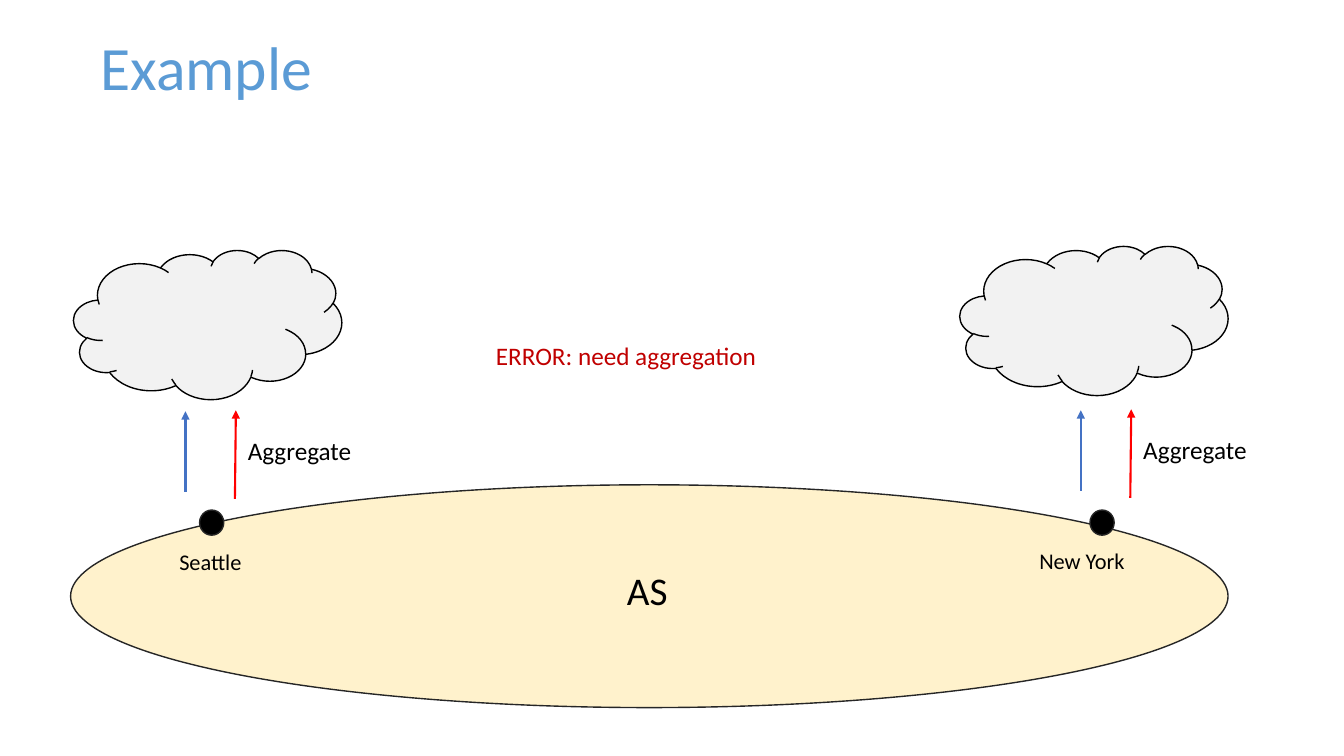
from lxml.etree import SubElement
from pptx import Presentation
from pptx.dml.color import RGBColor as Color
from pptx.enum.shapes import MSO_CONNECTOR as Connector, MSO_SHAPE as Shape
from pptx.enum.text import MSO_ANCHOR as Anchor, MSO_AUTO_SIZE as AutoSize
from pptx.oxml.ns import qn
from pptx.util import Inches, Pt

COLORS = {
    "title": "5B9BD5", "text": "000000", "error": "C00000",
    "network": "FFF2CC", "outline": "262626", "cloud": "F2F2F2",
    "router": "000000", "black": "000000", "red": "FF0000", "blue": "4472C4",
}

deck = Presentation()
deck.slide_width, deck.slide_height = Inches(13.33), Inches(7.5)
page = deck.slides.add_slide(deck.slide_layouts[6])

# All places are percentages of the slide's width and height
column = deck.slide_width / 100
row = deck.slide_height / 100


def add_filled(kind, left, top, width, height, fill, line):
    shape = page.shapes.add_shape(
        kind, int(left * column), int(top * row), int(width * column), int(height * row))
    shape.shadow.inherit = False
    shape.fill.solid()
    shape.fill.fore_color.rgb = Color.from_string(COLORS[fill])
    shape.line.color.rgb = Color.from_string(COLORS[line])
    shape.line.width = Pt(1)


def add_label(text, left, top, width, height, size, color="text", spacing=1.0, wrap=True):
    box = page.shapes.add_textbox(
        int(left * column), int(top * row), int(width * column), int(height * row))
    frame = box.text_frame
    frame.word_wrap = wrap
    frame.auto_size = AutoSize.NONE if wrap else AutoSize.SHAPE_TO_FIT_TEXT
    para = frame.paragraphs[0]
    para.line_spacing = spacing
    span = para.add_run()
    span.text = text
    span.font.name = "Calibri"
    span.font.size = Pt(size)
    span.font.color.rgb = Color.from_string(COLORS[color])
    return box


# Title
title = add_label("Example", 6.75, -0.27, 86.27, 19.33, 44, "title", 0.9)
title.text_frame.vertical_anchor = Anchor.MIDDLE

# Autonomous system
add_filled(Shape.OVAL, 5.25, 64.13, 86.12, 29.47, "network", "outline")
add_label("AS", 45.91, 75.47, 4.73, 6.8, 28, spacing=0.8)

# Each city: router, name, cloud and the announcements sent up to it
cities = [
    # name, name left, name top, name width, router left, cloud left, cloud top, arrow shift
    ("Seattle", 12.6, 72.53, 6.23, 14.85, 5.48, 33.07, (0, 0)),
    ("New York", 76.59, 72.4, 8.7, 81.1, 71.42, 32.53, (66.62, -0.13)),
]
arrows = [
    # color, start x, start y, end x, end y
    ("red", 17.48, 66, 17.55, 54.27),
    ("blue", 13.8, 65.07, 13.8, 54.4),
]
for name, name_left, name_top, name_width, router_left, cloud_left, cloud_top, shift in cities:
    add_filled(Shape.OVAL, router_left, 67.47, 1.8, 3.33, "router", "outline")
    add_label(name, name_left, name_top, name_width, 4.4, 16, spacing=0.8)
    add_filled(Shape.CLOUD, cloud_left, cloud_top, 19.95, 19.73, "cloud", "black")
    across, down = shift
    add_label("Aggregate", 17.7 + across, 56.93 + down, 9.3, 5.33, 18, wrap=False)
    for color, start_x, start_y, end_x, end_y in arrows:
        arrow = page.shapes.add_connector(
            Connector.STRAIGHT,
            int((start_x + across) * column), int((start_y + down) * row),
            int((end_x + across) * column), int((end_y + down) * row))
        arrow.line.color.rgb = Color.from_string(COLORS[color])
        arrow.line.width = Pt(1.5)
        SubElement(arrow.line._get_or_add_ln(), qn("a:tailEnd"), type="triangle")
        SubElement(arrow._element.spPr, qn("a:effectLst"))

# Error message
add_label("ERROR: need aggregation", 36.16, 44.4, 21.16, 5.33, 18, "error", wrap=False)

deck.save("out.pptx")
